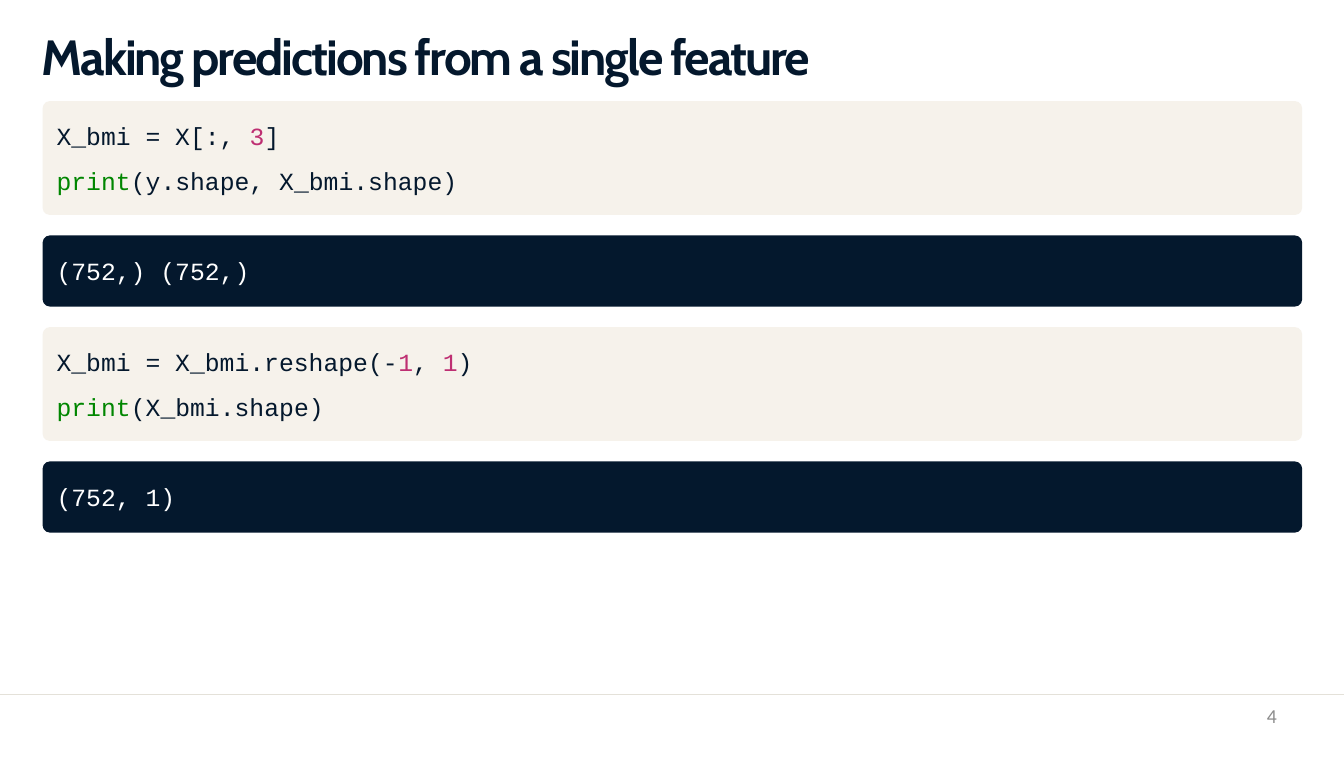
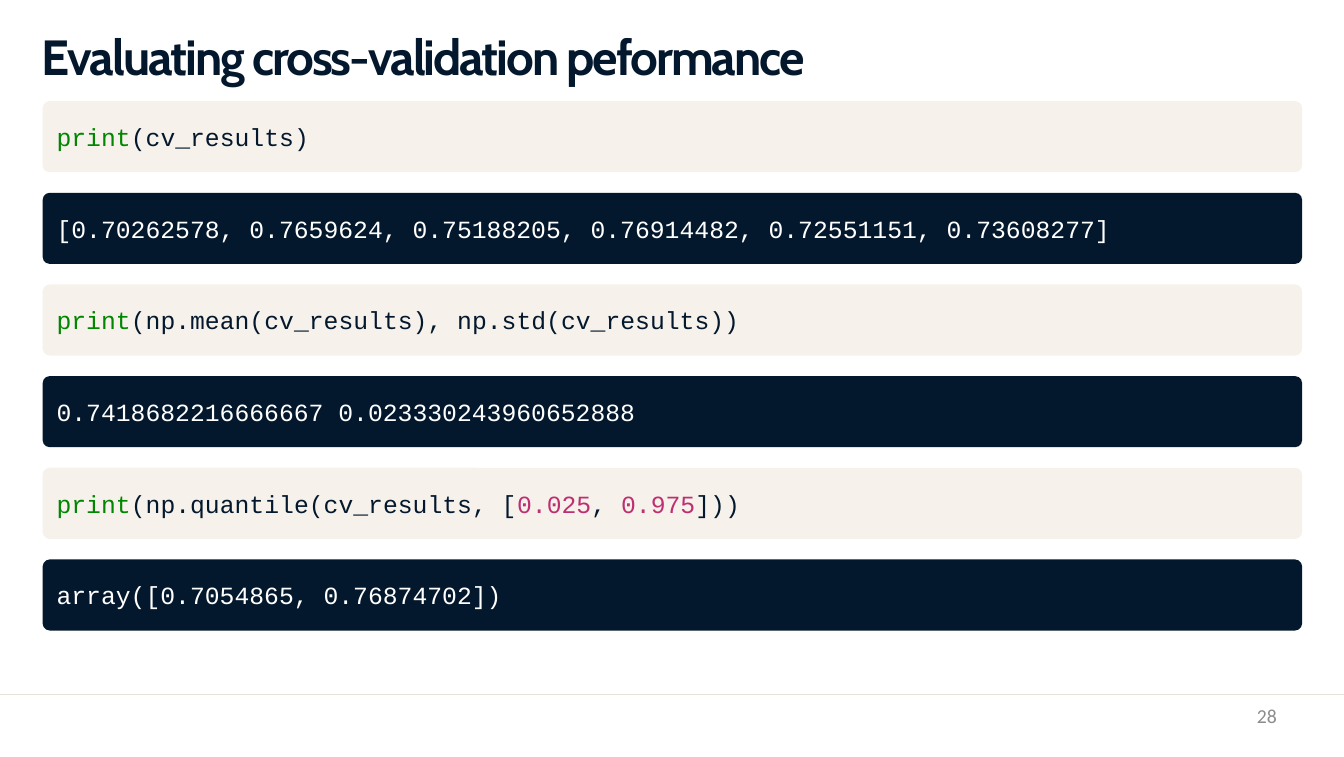
from pptx import Presentation
from pptx.dml.color import RGBColor
from pptx.enum.shapes import MSO_CONNECTOR, MSO_SHAPE
from pptx.enum.text import MSO_ANCHOR, MSO_AUTO_SIZE, PP_ALIGN
from pptx.oxml import parse_xml
from pptx.oxml.ns import nsdecls, qn
from pptx.util import Inches, Pt

STRAIGHT = MSO_CONNECTOR.STRAIGHT
ROUNDED = MSO_SHAPE.ROUNDED_RECTANGLE
TOP, MIDDLE = MSO_ANCHOR.TOP, MSO_ANCHOR.MIDDLE
NO_AUTOFIT = MSO_AUTO_SIZE.NONE
LEFT, RIGHT = PP_ALIGN.LEFT, PP_ALIGN.RIGHT

# Shared colours and sizes
NAVY, CREAM, WHITE = "04182D", "F6F2EB", "FFFFFF"
GREEN, PINK, GREY, RULE = "008600", "BE2F72", "8C8C8C", "E4E1D9"
SLIDE_WIDTH, SLIDE_HEIGHT = 17.01, 9.58
BOX_LEFT, BOX_TOP, BOX_WIDTH = 0.54, 1.28, 15.94
LINE_HEIGHT, BOX_PADDING, BOX_GAP = 0.54, 0.36, 0.26
CORNER = 0.09

CODE_FONT = {"name": "Courier New", "size": Pt(22.5)}
NUMBER_FONT = {"name": "Calibri", "size": Pt(18)}
TITLE_FRAME = {"margin_left": 0, "margin_top": Inches(0.03), "margin_right": 0,
               "margin_bottom": 0, "vertical_anchor": TOP,
               "auto_size": NO_AUTOFIT, "word_wrap": True}
CODE_FRAME = {"margin_left": Inches(0.15), "margin_top": 0, "margin_right": 0,
              "margin_bottom": 0, "vertical_anchor": MIDDLE, "word_wrap": True}
NUMBER_FRAME = {**TITLE_FRAME, "margin_top": 0}

# Each block is a fill and its lines; each line is a list of (text, colour) runs
PRINT = ("print", GREEN)
SLIDES = [
    ("Making predictions from a single feature", "4", [
        (CREAM, [[("X_bmi = X[:, ", NAVY), ("3", PINK), ("]", NAVY)],
                 [PRINT, ("(y.shape, X_bmi.shape)", NAVY)]]),
        (NAVY, [[("(752,) (752,)", WHITE)]]),
        (CREAM, [[("X_bmi = X_bmi.reshape(-", NAVY), ("1", PINK), (", ", NAVY),
                  ("1", PINK), (")", NAVY)],
                 [PRINT, ("(X_bmi.shape)", NAVY)]]),
        (NAVY, [[("(752, 1)", WHITE)]]),
    ]),
    ("Evaluating cross-validation peformance", "28", [
        (CREAM, [[PRINT, ("(cv_results)", NAVY)]]),
        (NAVY, [[("[0.70262578, 0.7659624, 0.75188205, 0.76914482, "
                  "0.72551151, 0.73608277]", WHITE)]]),
        (CREAM, [[PRINT, ("(np.mean(cv_results), np.std(cv_results))", NAVY)]]),
        (NAVY, [[("0.7418682216666667 0.023330243960652888", WHITE)]]),
        (CREAM, [[PRINT, ("(np.quantile(cv_results, [", NAVY), ("0.025", PINK),
                  (", ", NAVY), ("0.975", PINK), ("]))", NAVY)]]),
        (NAVY, [[("array([0.7054865, 0.76874702])", WHITE)]]),
    ]),
]


def color(hex_string):
    return RGBColor.from_string(hex_string)


def apply_format(target, values):
    for name, value in values.items():
        setattr(target, name, value)


presentation = Presentation()
presentation.slide_width = Inches(SLIDE_WIDTH)
presentation.slide_height = Inches(SLIDE_HEIGHT)

# Title style, set once on the layout
layout = presentation.slide_layouts.get_by_name("Title Only")
layout_title = layout.placeholders[0]
apply_format(layout_title, {"left": Inches(0.53), "top": Inches(0.3),
                            "width": Inches(15.95), "height": Inches(0.78)})
apply_format(layout_title.text_frame, TITLE_FRAME)
layout_title.text_frame._txBody.find(qn("a:lstStyle")).append(parse_xml(
    f'<a:lvl1pPr {nsdecls("a")} algn="l"><a:defRPr sz="4500" b="1" spc="-190">'
    f'<a:solidFill><a:srgbClr val="{NAVY}"/></a:solidFill>'
    '<a:latin typeface="Cabin"/></a:defRPr></a:lvl1pPr>'))

for title, number, blocks in SLIDES:
    slide = presentation.slides.add_slide(layout)
    slide.shapes.title.text = title

    # Code and output boxes, stacked with equal gaps
    top = BOX_TOP
    for fill, lines in blocks:
        height = BOX_PADDING + LINE_HEIGHT * len(lines)
        box = slide.shapes.add_shape(ROUNDED, Inches(BOX_LEFT), Inches(top),
                                     Inches(BOX_WIDTH), Inches(height))
        box.adjustments[0] = CORNER / height
        box.shadow.inherit = False
        box.fill.solid()
        box.fill.fore_color.rgb = color(fill)
        box.line.fill.background()
        frame = box.text_frame
        apply_format(frame, CODE_FRAME)
        for index, runs in enumerate(lines):
            paragraph = frame.add_paragraph() if index else frame.paragraphs[0]
            paragraph.alignment = LEFT
            paragraph.space_before = Pt(13.5 if index else 0)
            for text, text_color in runs:
                run = paragraph.add_run()
                run.text = text
                apply_format(run.font, CODE_FONT)
                run.font.color.rgb = color(text_color)
        top += height + BOX_GAP

    # Page number
    number_box = slide.shapes.add_textbox(Inches(12.25), Inches(8.91),
                                          Inches(3.91), Inches(0.48))
    apply_format(number_box.text_frame, NUMBER_FRAME)
    paragraph = number_box.text_frame.paragraphs[0]
    paragraph.text = number
    paragraph.alignment = RIGHT
    apply_format(paragraph.font, NUMBER_FONT)
    paragraph.font.color.rgb = color(GREY)

# Footer rule, moved to the layout so that every slide shows it
rule = slide.shapes.add_connector(STRAIGHT, 0, Inches(8.79),
                                  Inches(SLIDE_WIDTH), Inches(8.79))
rule.line.color.rgb = color(RULE)
rule.line.width = Pt(1.5)
rule._element.spPr.append(parse_xml(f'<a:effectLst {nsdecls("a")}/>'))
layout.shapes._spTree.append(rule._element)

presentation.save("out.pptx")
